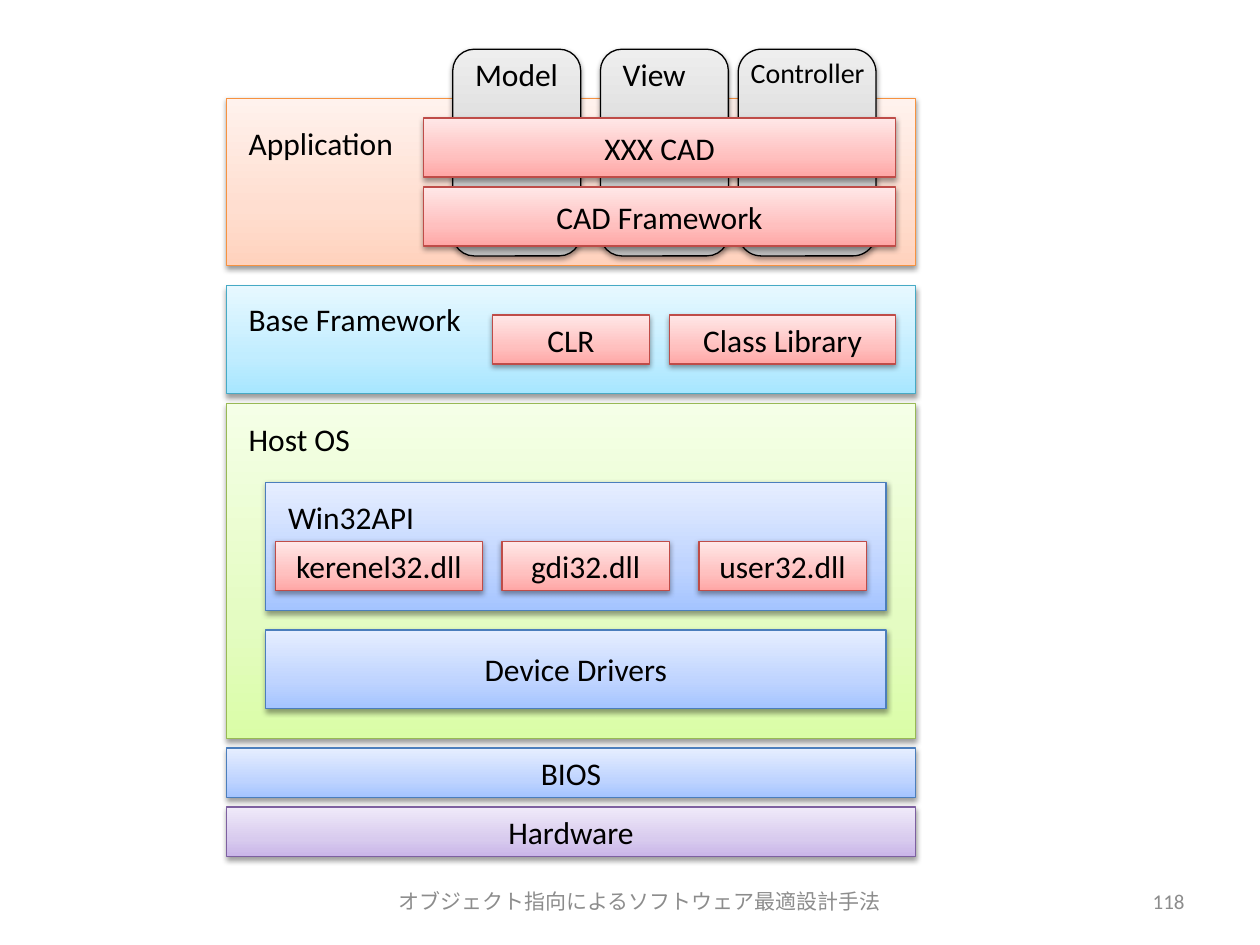
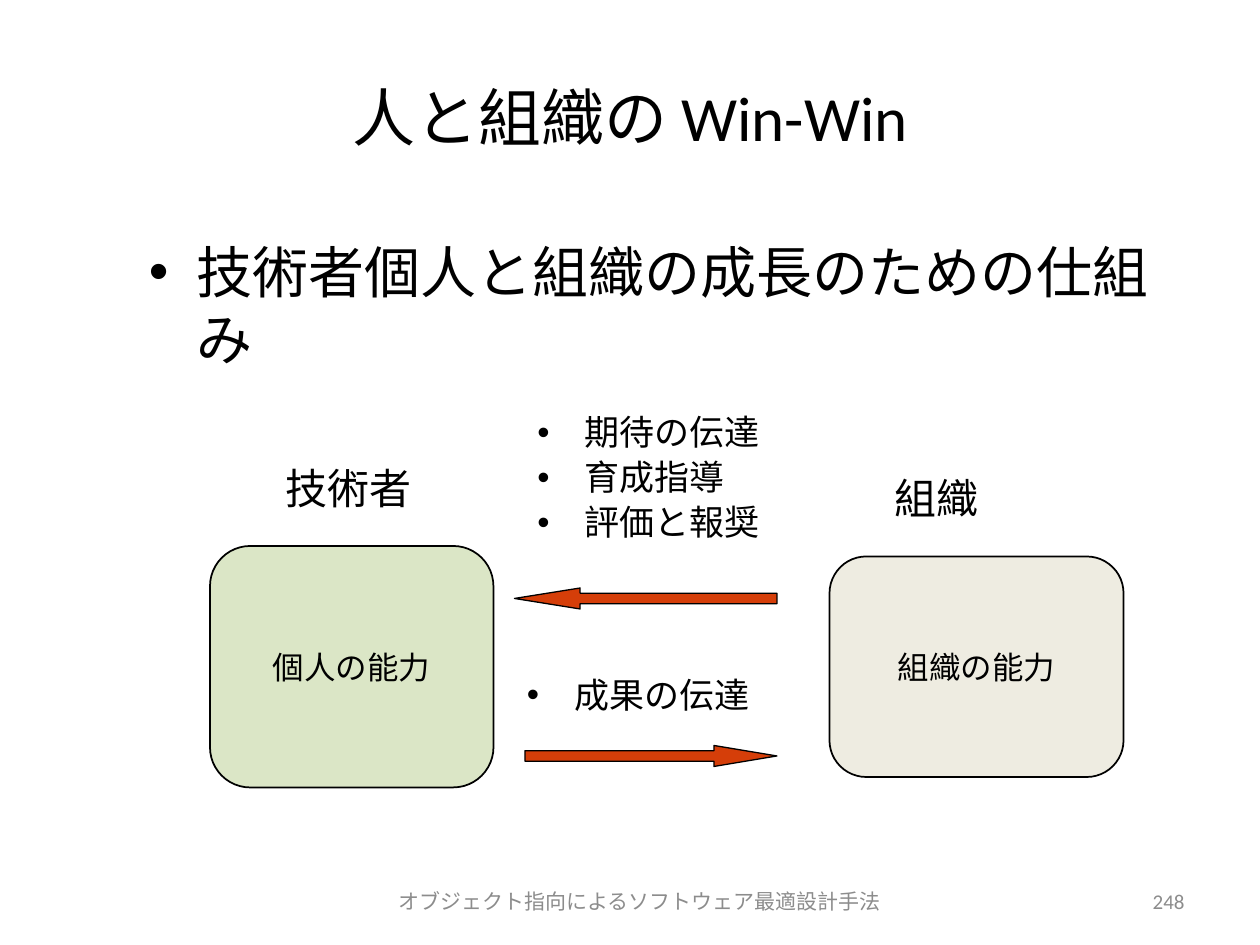
import copy

import pptx
import pptx.dml.color
import pptx.enum.shapes
import pptx.enum.text
import pptx.oxml
import pptx.oxml.ns
import pptx.util
from lxml import etree

Pt = pptx.util.Pt
RGBColor = pptx.dml.color.RGBColor
SHAPE = pptx.enum.shapes.MSO_SHAPE
ALIGN = pptx.enum.text.PP_ALIGN
ANCHOR = pptx.enum.text.MSO_ANCHOR
qn = pptx.oxml.ns.qn

# Shared style
FONT = "Calibri"
BLACK = RGBColor(0x00, 0x00, 0x00)
FOOTER_GRAY = RGBColor(0x8C, 0x8C, 0x8C)
GREEN_FILL = RGBColor(0xDB, 0xE6, 0xC6)
BEIGE_FILL = RGBColor(0xEE, 0xEC, 0xE1)
ARROW_RED = RGBColor(0xD5, 0x3E, 0x09)
FOOTER_TEXT = "オブジェクト指向によるソフトウェア最適設計手法"
INDENT = 27

# Each gradient runs upwards through three stops; the last colour is the outline
STOPS = (0, 0.35, 1)
ORANGE, GRAY, GREEN, BLUE, PURPLE, CYAN, RED = [
    [RGBColor.from_string(code) for code in codes.split()]
    for codes in (
        "FFD2BD FFDED0 FFF2ED F69240",
        "BDBDBD D1D1D1 EEEEEE 000000",
        "DAFDA7 E4FCC2 F5FFE7 98B955",
        "A4C4FF BFD4FF E6EEFF 4B7EBC",
        "C9B5E8 D8CBEE F0EAF9 7D60A0",
        "A7E6FF C1EDFF E7F8FF 46AAC5",
        "FFA6A5 FFC0BF FFE7E7 BF4C48",
    )
]
SHADOW = (
    '<a:outerShdw xmlns:a="http://schemas.openxmlformats.org/drawingml/2006/main" '
    'blurRad="40000" dist="20000" dir="5400000" rotWithShape="0">'
    '<a:srgbClr val="000000"><a:alpha val="38000"/></a:srgbClr></a:outerShdw>'
)


def write_text(shape, lines, size, color=BLACK, align=ALIGN.LEFT,
               anchor=ANCHOR.TOP, wrap=True, bullet=False, spacing=None):
    frame = shape.text_frame
    frame.text = "\n".join(lines)
    frame.word_wrap = wrap
    frame.vertical_anchor = anchor
    for index, paragraph in enumerate(frame.paragraphs):
        paragraph.alignment = align
        if spacing:
            paragraph.line_spacing = spacing
        if index:
            paragraph.space_before = Pt(size * 0.2)
        if bullet:
            properties = paragraph._p.get_or_add_pPr()
            properties.set("marL", str(Pt(INDENT)))
            properties.set("indent", str(Pt(-INDENT)))
            etree.SubElement(properties, qn("a:buFont")).set("typeface", "Arial")
            etree.SubElement(properties, qn("a:buChar")).set("char", "•")
        for run in paragraph.runs:
            run.font.name = FONT
            run.font.size = Pt(size)
            run.font.color.rgb = color


def add_shape(slide, kind, box, fill, line_color=BLACK, line_width=0.75):
    shape = slide.shapes.add_shape(kind, *[Pt(value) for value in box])
    shape.shadow.inherit = False
    shape.line.color.rgb = line_color
    shape.line.width = Pt(line_width)
    if isinstance(fill, RGBColor):
        shape.fill.solid()
        shape.fill.fore_color.rgb = fill
        return shape
    shape.fill.gradient()
    shape.fill.gradient_angle = 90
    stop_list = shape._element.spPr.find(".//" + qn("a:gsLst"))
    stop_list.insert(1, copy.deepcopy(stop_list[0]))
    for stop, position, color in zip(shape.fill.gradient_stops, STOPS, fill):
        stop.position = position
        stop.color.rgb = color
    effects = shape._element.spPr.find(qn("a:effectLst"))
    effects.append(pptx.oxml.parse_xml(SHADOW))
    return shape


presentation = pptx.Presentation()
presentation.slide_width = Pt(720)
presentation.slide_height = Pt(540)
stack_slide = presentation.slides.add_slide(presentation.slide_layouts[6])
growth_slide = presentation.slides.add_slide(presentation.slide_layouts[5])

# Footer and page number
for slide, number in ((stack_slide, "118"), (growth_slide, "248")):
    for left, width, text, align in (
        (123.75, 484, FOOTER_TEXT, ALIGN.CENTER),
        (624, 60, number, ALIGN.RIGHT),
    ):
        footer = slide.shapes.add_textbox(Pt(left), Pt(500.5), Pt(width), Pt(28.75))
        write_text(footer, [text], 12, FOOTER_GRAY, align, ANCHOR.MIDDLE)

# Slide 1: software stack, placed in steps of one grid unit
GRID = 45 / 8
RECT, ROUND = SHAPE.RECTANGLE, SHAPE.ROUNDED_RECTANGLE
stack_boxes = [
    (RECT, 23, 10, 70, 17, ORANGE, ""),
    (ROUND, 46, 5, 13, 21, GRAY, ""),
    (ROUND, 61, 5, 13, 21, GRAY, ""),
    (ROUND, 75, 5, 14, 21, GRAY, ""),
    (RECT, 43, 12, 48, 6, RED, "XXX CAD"),
    (RECT, 43, 19, 48, 6, RED, "CAD Framework"),
    (RECT, 23, 29, 70, 11, CYAN, ""),
    (RECT, 50, 32, 16, 5, RED, "CLR"),
    (RECT, 68, 32, 23, 5, RED, "Class Library"),
    (RECT, 23, 41, 70, 34, GREEN, ""),
    (RECT, 27, 49, 63, 13, BLUE, ""),
    (RECT, 28, 55, 21, 5, RED, "kerenel32.dll"),
    (RECT, 51, 55, 17, 5, RED, "gdi32.dll"),
    (RECT, 71, 55, 17, 5, RED, "user32.dll"),
    (RECT, 27, 64, 63, 8, BLUE, "Device Drivers"),
    (RECT, 23, 76, 70, 5, BLUE, "BIOS"),
    (RECT, 23, 82, 70, 5, PURPLE, "Hardware"),
]
for kind, left, top, width, height, colors, text in stack_boxes:
    box = [value * GRID for value in (left, top, width, height)]
    shape = add_shape(stack_slide, kind, box, colors, colors[-1])
    if text:
        write_text(shape, [text], 18, align=ALIGN.CENTER,
                   anchor=ANCHOR.MIDDLE, wrap=False)

# Layer and column labels: grid left, grid top, width in points
stack_labels = [
    ("Model", 47, 5, 62.6, 18),
    ("View", 62, 5, 51, 18),
    ("Controller", 75, 5, 80.6, 16),
    ("Application", 24, 12, 98, 18),
    ("Base Framework", 24, 29.8, 136, 18),
    ("Host OS", 24, 42, 83.5, 18),
    ("Win32API", 28, 50, 87, 18),
]
for text, left, top, width, size in stack_labels:
    label = stack_slide.shapes.add_textbox(
        Pt(left * GRID), Pt(top * GRID), Pt(width), Pt(29))
    write_text(label, [text], size, wrap=False)

# Slide 2: title
title = growth_slide.shapes.title
title.left, title.top, title.width, title.height = Pt(36), Pt(21.6), Pt(648), Pt(90)
write_text(title, ["人と組織の Win-Win"], 36, align=ALIGN.CENTER, anchor=ANCHOR.MIDDLE)

# Lead sentence, exchanged items and headings of the two parties
growth_texts = [
    (78, 132, 600, 60, ["技術者個人と組織の成長のための仕組み"], 32, True, None),
    (300, 234, 162, 84, ["期待の伝達", "育成指導", "評価と報奨"], 20, True, 0.9),
    (294, 384, 156, 36, ["成果の伝達"], 20, True, 0.9),
    (156, 264, 96, 30, ["技術者"], 24, False, 0.9),
    (504, 270, 96, 30, ["組織"], 24, False, 0.9),
]
for left, top, width, height, lines, size, bullet, spacing in growth_texts:
    text_box = growth_slide.shapes.add_textbox(Pt(left), Pt(top), Pt(width), Pt(height))
    write_text(text_box, lines, size, bullet=bullet, spacing=spacing)

# Abilities of the person and of the organisation
for box, fill, text in (
    ((120, 312, 162, 138), GREEN_FILL, "個人の能力"),
    ((474, 318, 168, 126), BEIGE_FILL, "組織の能力"),
):
    ability = add_shape(growth_slide, ROUND, box, fill, line_width=1)
    write_text(ability, [text], 18, align=ALIGN.CENTER,
               anchor=ANCHOR.MIDDLE, wrap=False)

# Arrows between the parties
for kind, box, head_length in (
    (SHAPE.LEFT_ARROW, (294, 336, 150, 12), 3.13),
    (SHAPE.RIGHT_ARROW, (300, 426, 144, 12), 3),
):
    arrow = add_shape(growth_slide, kind, box, ARROW_RED)
    arrow.adjustments[0] = 0.5
    arrow.adjustments[1] = head_length

presentation.save("out.pptx")
